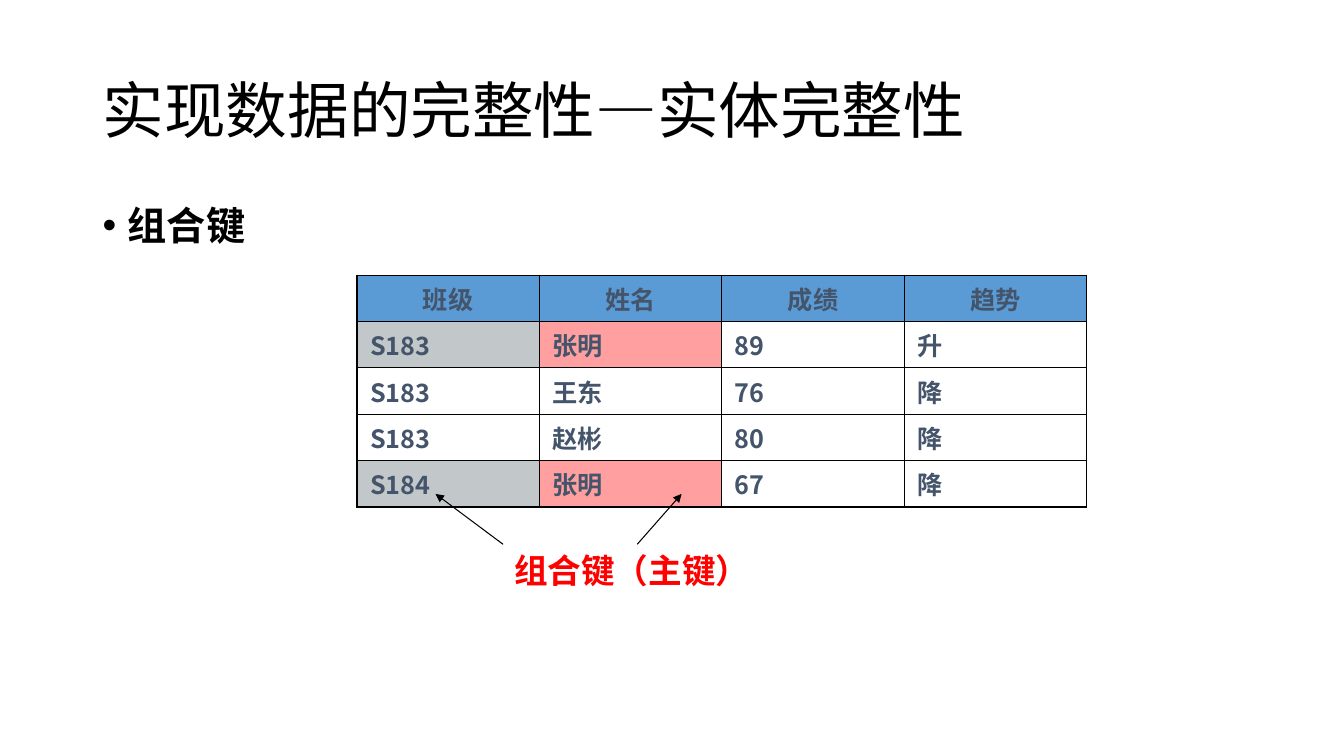
from lxml import etree
from pptx import Presentation
from pptx.dml.color import RGBColor
from pptx.enum.shapes import MSO_CONNECTOR
from pptx.enum.text import MSO_ANCHOR, PP_ALIGN
from pptx.oxml.ns import qn
from pptx.util import Inches, Pt

LEFT, CENTER = PP_ALIGN.LEFT, PP_ALIGN.CENTER
TOP, MIDDLE, BOTTOM = MSO_ANCHOR.TOP, MSO_ANCHOR.MIDDLE, MSO_ANCHOR.BOTTOM
STRAIGHT = MSO_CONNECTOR.STRAIGHT

BLACK = RGBColor(0x00, 0x00, 0x00)
WHITE = RGBColor(0xFF, 0xFF, 0xFF)
RED = RGBColor(0xFF, 0x00, 0x00)
SLATE = RGBColor(0x44, 0x54, 0x6A)
BLUE = RGBColor(0x5B, 0x9B, 0xD5)
GRAY = RGBColor(0xC2, 0xC8, 0xCA)
PINK = RGBColor(0xFF, 0x9F, 0x9F)
CJK_FONT = "Noto Sans CJK SC"

# Content
TITLE = "实现数据的完整性—实体完整性"
BULLET = "组合键"
KEY_LABEL = "组合键（主键）"
GRADES = [
    ("班级", "姓名", "成绩", "趋势"),
    ("S183", "张明", "89", "升"),
    ("S183", "王东", "76", "降"),
    ("S183", "赵彬", "80", "降"),
    ("S184", "张明", "67", "降"),
]
KEY_ROWS = (1, 4)
KEY_FILLS = {0: GRAY, 1: PINK}
KEY_ARROWS = [((6.32, 5.4), (6.76, 4.9)), ((4.99, 5.4), (4.32, 4.9))]

# Table layout
TABLE_LEFT, TABLE_TOP = 3.54, 2.73
COLUMN_WIDTH, ROW_HEIGHT = 1.81, 0.46


def write_text(frame, text, *, size, font, color, bold=False, align=LEFT,
               line_spacing=None, space_before=None):
    paragraph = frame.paragraphs[0]
    paragraph.alignment = align
    if line_spacing:
        paragraph.line_spacing = line_spacing
    if space_before:
        paragraph.space_before = Pt(space_before)
    run = paragraph.add_run()
    run.text = text
    run.font.size = Pt(size)
    run.font.name = font
    run.font.bold = bold
    run.font.color.rgb = color
    east_asian = etree.SubElement(run.font._element, qn("a:ea"))
    east_asian.set("typeface", CJK_FONT)
    return paragraph


def add_frame(slide, left, top, width, height, anchor):
    box = slide.shapes.add_textbox(Inches(left), Inches(top), Inches(width), Inches(height))
    frame = box.text_frame
    frame.word_wrap = True
    frame.vertical_anchor = anchor
    return frame


def add_bullet(paragraph):
    properties = paragraph._p.get_or_add_pPr()
    properties.set("marL", str(Inches(0.25)))
    properties.set("indent", str(-Inches(0.25)))
    etree.SubElement(properties, qn("a:buFont")).set("typeface", "Arial")
    etree.SubElement(properties, qn("a:buChar")).set("char", "•")


def set_borders(cell):
    properties = cell._tc.get_or_add_tcPr()
    for index, side in enumerate(("a:lnL", "a:lnR", "a:lnT", "a:lnB")):
        line = etree.Element(qn(side), w=str(Pt(1)))
        fill = etree.SubElement(line, qn("a:solidFill"))
        etree.SubElement(fill, qn("a:srgbClr")).set("val", str(BLACK))
        properties.insert(index, line)


def add_grades(slide):
    rows, columns = len(GRADES), len(GRADES[0])
    table = slide.shapes.add_table(
        rows, columns, Inches(TABLE_LEFT), Inches(TABLE_TOP),
        Inches(columns * COLUMN_WIDTH), Inches(rows * ROW_HEIGHT)).table
    table.horz_banding = False
    for column in table.columns:
        column.width = Inches(COLUMN_WIDTH)
    for row_index, values in enumerate(GRADES):
        table.rows[row_index].height = Inches(ROW_HEIGHT)
        header = row_index == 0
        fills = KEY_FILLS if row_index in KEY_ROWS else {}
        for column_index, value in enumerate(values):
            cell = table.cell(row_index, column_index)
            cell.margin_left = cell.margin_right = Inches(0.13)
            cell.margin_top = cell.margin_bottom = Inches(0.05)
            cell.vertical_anchor = TOP if header else MIDDLE
            cell.fill.solid()
            cell.fill.fore_color.rgb = BLUE if header else fills.get(column_index, WHITE)
            write_text(cell.text_frame, value, size=18, font=CJK_FONT, color=SLATE,
                       bold=True, align=CENTER if header else LEFT)
            set_borders(cell)


def add_arrow(slide, start, end):
    points = [Inches(value) for value in start + end]
    arrow = slide.shapes.add_connector(STRAIGHT, *points)
    arrow.line.color.rgb = BLACK
    arrow.line.width = Pt(0.75)
    etree.SubElement(arrow.line._get_or_add_ln(), qn("a:tailEnd")).set("type", "triangle")
    etree.SubElement(arrow._element.spPr, qn("a:effectLst"))


def main():
    presentation = Presentation()
    presentation.slide_width = Inches(13.33)
    presentation.slide_height = Inches(7.5)
    slide = presentation.slides.add_slide(presentation.slide_layouts[6])

    # Title and bullet
    write_text(add_frame(slide, 0.92, 0.4, 10.4, 1.45, MIDDLE), TITLE,
               size=44, font="Arial", color=BLACK, line_spacing=0.9)
    bullet = write_text(add_frame(slide, 0.92, 2, 11.5, 4.76, TOP), BULLET,
                        size=28, font="Arial Narrow", color=BLACK, bold=True,
                        line_spacing=0.9, space_before=10)
    add_bullet(bullet)

    # Grade table
    add_grades(slide)

    # Composite key callout
    for start, end in KEY_ARROWS:
        add_arrow(slide, start, end)
    write_text(add_frame(slide, 4.21, 5.4, 4.11, 0.5, BOTTOM), KEY_LABEL,
               size=24, font="TeX Gyre Schola", color=RED, bold=True, align=CENTER)

    presentation.save("out.pptx")


if __name__ == "__main__":
    main()
